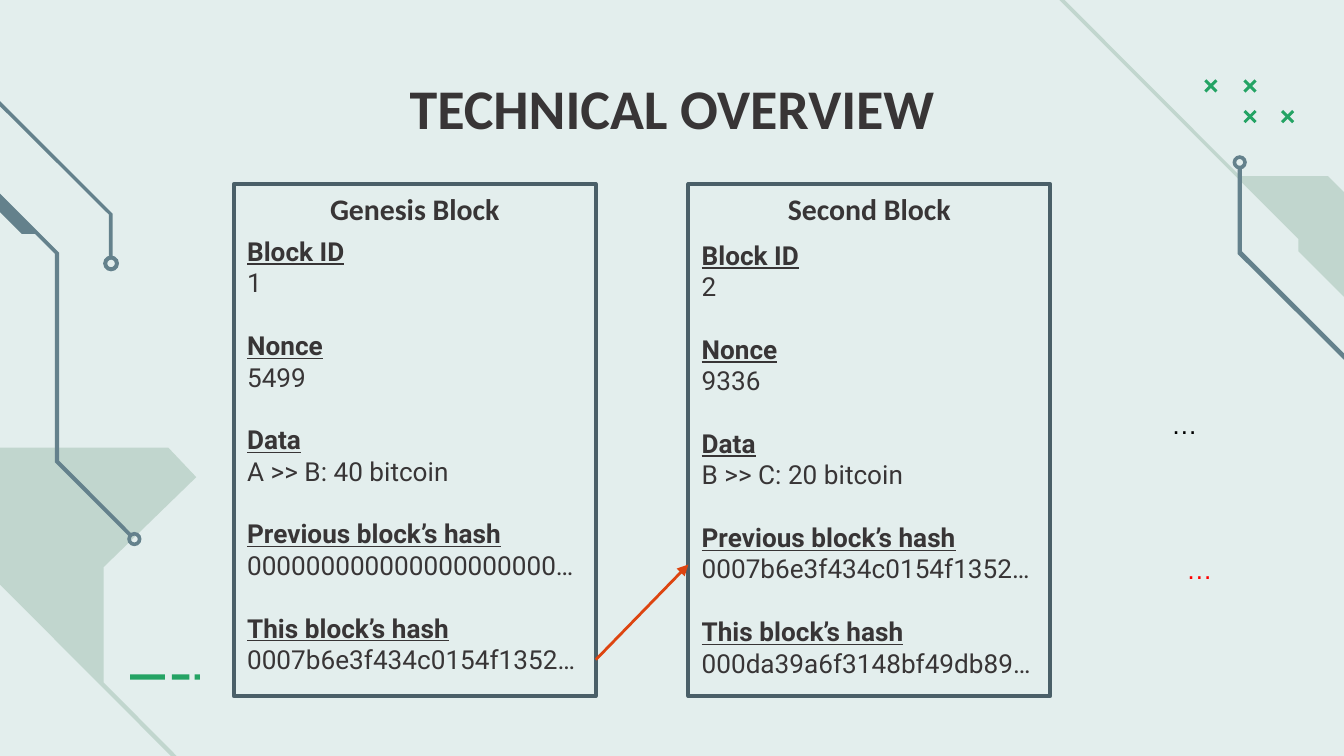
from dataclasses import dataclass
from typing import Any, NamedTuple

from lxml import etree
from pptx import Presentation
from pptx import util as u
from pptx.dml.color import RGBColor
from pptx.enum import shapes, text
from pptx.oxml import ns


@dataclass(frozen=True)
class Theme:
    background: str = "E3EEED"
    pale: str = "C1D6CE"
    circuit: str = "64818C"
    accent: str = "24A364"
    ink: str = "383536"
    frame: str = "4A5F68"
    arrow: str = "DD4410"
    black: str = "000000"
    red: str = "FF0000"
    heading_font: str = "Calibri"
    body_font: str = "Roboto"
    mark_font: str = "Arial"
    title_size: float = 30
    heading_size: float = 16
    body_size: float = 14
    gap: float = 16.8


class Box(NamedTuple):
    left: float
    top: float
    width: float
    height: float


class Outline(NamedTuple):
    color: str
    points: list[tuple[float, float]]


class Ring(NamedTuple):
    x: float
    y: float
    diameter: float


class Ellipsis(NamedTuple):
    box: Box
    color: str


@dataclass(frozen=True)
class Block:
    heading: str
    left: float
    details_top: float
    values: tuple[str, ...]


THEME = Theme()
BLOCK_TOP, BLOCK_WIDTH, BLOCK_HEIGHT = 3.48, 6.84, 9.68
LABELS = ("Block ID", "Nonce", "Data", "Previous block’s hash", "This block’s hash")
BLOCKS = [
    Block("Genesis Block", 4.42, 4.32,
          ("1", "5499", "A >> B: 40 bitcoin", "000000000000000000000…", "0007b6e3f434c0154f1352…")),
    Block("Second Block", 13.01, 4.39,
          ("2", "9336", "B >> C: 20 bitcoin", "0007b6e3f434c0154f1352…", "000da39a6f3148bf49db89…")),
]
OUTLINES = [
    Outline(THEME.pale, [(0, 8.46), (3.18, 8.46), (3.71, 9.02), (1.96, 10.72),
                         (1.96, 12.9), (3.34, 14.29), (3.23, 14.29), (0, 11.05)]),
    Outline(THEME.pale, [(20.12, 0), (23.44, 3.33), (25.1, 3.33), (25.4, 3.63),
                         (25.4, 5.61), (24.54, 4.75), (24.54, 4.52), (20.02, 0)]),
    Outline(THEME.circuit, [(0, 3.66), (1.12, 4.78), (1.12, 8.71), (2.51, 10.11),
                            (2.46, 10.16), (1.04, 8.74), (1.04, 4.8), (0, 3.76)]),
    Outline(THEME.circuit, [(0, 3.68), (0.71, 4.42), (0.41, 4.42), (0, 4.01)]),
    Outline(THEME.circuit, [(0, 1.91), (2.13, 4.04), (2.13, 4.88), (2.06, 4.88),
                            (2.06, 4.06), (0, 2.01)]),
    Outline(THEME.circuit, [(23.39, 3.15), (23.47, 3.15), (23.47, 4.75), (25.4, 6.68),
                            (25.4, 6.8), (23.39, 4.8)]),
]
RINGS = [Ring(2.54, 10.19, 0.27), Ring(2.1, 4.98, 0.3), Ring(23.43, 3.07, 0.27)]
CROSSES = [(22.76, 1.5), (23.5, 1.5), (23.5, 2.08), (24.21, 2.08)]
CROSS_SIZE, CROSS_STROKE = 0.25, 0.04
DASHES = [Box(2.46, 12.75, 0.66, 0.1), Box(3.25, 12.75, 0.33, 0.1), Box(3.68, 12.75, 0.1, 0.1)]
ELLIPSES = [Ellipsis(Box(21.89, 7.59, 1.8, 0.86), THEME.black),
            Ellipsis(Box(22.17, 10.34, 1.24, 0.86), THEME.red)]


def apply(target: Any, values: dict[str, Any]) -> None:
    for name, value in values.items():
        setattr(target, name, value)


def place(shape: Any, box: Box) -> None:
    apply(shape, {name: u.Cm(value) for name, value in box._asdict().items()})


def paint(shape: Any, color: str) -> None:
    shape.shadow.inherit = False
    shape.fill.solid()
    shape.fill.fore_color.rgb = RGBColor.from_string(color)
    shape.line.fill.background()


def draw_outline(slide: Any, outline: Outline) -> None:
    points = [(u.Cm(x), u.Cm(y)) for x, y in outline.points]
    builder = slide.shapes.build_freeform(*points[0], scale=1.0)
    builder.add_line_segments(points[1:], close=True)
    paint(builder.convert_to_shape(), outline.color)


def draw_cross(slide: Any, left: float, top: float) -> None:
    far = CROSS_SIZE - CROSS_STROKE
    stroke = [(far, 0), (CROSS_SIZE, CROSS_STROKE), (CROSS_STROKE, CROSS_SIZE), (0, far)]
    mirrored = [(CROSS_SIZE - x, y) for x, y in stroke]
    for points in (stroke, mirrored):
        draw_outline(slide, Outline(THEME.accent, [(left + x, top + y) for x, y in points]))


def draw_preset(slide: Any, kind: shapes.MSO_SHAPE, box: Box) -> Any:
    return slide.shapes.add_shape(kind, *(u.Cm(value) for value in box))


def draw_ring(slide: Any, ring: Ring) -> None:
    radius = ring.diameter / 2
    box = Box(ring.x - radius, ring.y - radius, ring.diameter, ring.diameter)
    shape = draw_preset(slide, shapes.MSO_SHAPE.DONUT, box)
    shape.adjustments[0] = 0.26
    paint(shape, THEME.circuit)


def draw_frame(slide: Any, box: Box) -> None:
    shape = draw_preset(slide, shapes.MSO_SHAPE.RECTANGLE, box)
    shape.shadow.inherit = False
    shape.fill.background()
    shape.line.color.rgb = RGBColor.from_string(THEME.frame)
    shape.line.width = u.Pt(2)


def prepare_frame(shape: Any, box: Box, inset: float = 0.25) -> Any:
    place(shape, box)
    apply(shape.text_frame, {
        "word_wrap": True, "auto_size": text.MSO_AUTO_SIZE.NONE,
        "vertical_anchor": text.MSO_ANCHOR.TOP,
        "margin_left": u.Cm(0.25), "margin_right": u.Cm(0.25),
        "margin_top": u.Cm(inset), "margin_bottom": u.Cm(inset),
    })
    return shape.text_frame


def write(paragraph: Any, words: str, font: str, size: float, color: str = THEME.ink,
          bold: bool = False, underline: bool = False, centred: bool = False,
          before: float = 0) -> None:
    properties = paragraph._p.get_or_add_pPr()
    apply_indent = {"marL": "0", "indent": "0"}
    for name, value in apply_indent.items():
        properties.set(name, value)
    etree.SubElement(properties, ns.qn("a:buNone"))
    alignment = text.PP_ALIGN.CENTER if centred else text.PP_ALIGN.LEFT
    apply(paragraph, {"alignment": alignment, "space_before": u.Pt(before)})
    run = paragraph.add_run()
    run.text = words
    apply(run.font, {"name": font, "size": u.Pt(size), "bold": bold, "underline": underline})
    run.font.color.rgb = RGBColor.from_string(color)


def draw_block(slide: Any, block: Block, heading: Any, details: Any) -> None:
    draw_frame(slide, Box(block.left, BLOCK_TOP, BLOCK_WIDTH, BLOCK_HEIGHT))
    frame = prepare_frame(heading, Box(block.left, BLOCK_TOP, BLOCK_WIDTH, 0.94), 0.13)
    write(frame.paragraphs[0], block.heading, THEME.heading_font, THEME.heading_size,
          bold=True, centred=True)
    frame = prepare_frame(details, Box(block.left, block.details_top, BLOCK_WIDTH, 8.64), 0.13)
    for index, (label, value) in enumerate(zip(LABELS, block.values)):
        paragraph = frame.add_paragraph() if index else frame.paragraphs[0]
        write(paragraph, label, THEME.body_font, THEME.body_size, bold=True, underline=True,
              before=THEME.gap if index else 0)
        write(frame.add_paragraph(), value, THEME.body_font, THEME.body_size)


def draw_arrow(slide: Any, start: tuple[float, float], end: tuple[float, float]) -> None:
    ends = (u.Cm(value) for value in start + end)
    connector = slide.shapes.add_connector(shapes.MSO_CONNECTOR.STRAIGHT, *ends)
    connector.line.color.rgb = RGBColor.from_string(THEME.arrow)
    connector.line.width = u.Pt(1.5)
    etree.SubElement(connector.line._get_or_add_ln(), ns.qn("a:tailEnd"), type="triangle")
    etree.SubElement(connector._element.spPr, ns.qn("a:effectLst"))


def main() -> None:
    presentation = Presentation()
    apply(presentation, {"slide_width": u.Cm(25.4), "slide_height": u.Cm(14.29)})
    slide = presentation.slides.add_slide(presentation.slide_layouts.get_by_name("Comparison"))
    slide.background.fill.solid()
    slide.background.fill.fore_color.rgb = RGBColor.from_string(THEME.background)
    title, *bodies = slide.placeholders

    for outline in OUTLINES:
        draw_outline(slide, outline)
    for ring in RINGS:
        draw_ring(slide, ring)
    for cross in CROSSES:
        draw_cross(slide, *cross)
    for dash in DASHES:
        paint(draw_preset(slide, shapes.MSO_SHAPE.RECTANGLE, dash), THEME.accent)

    frame = prepare_frame(title, Box(2.0, 1.14, 21.41, 1.65))
    write(frame.paragraphs[0], "TECHNICAL OVERVIEW", THEME.heading_font, THEME.title_size,
          bold=True, centred=True)
    for block, heading, details in zip(BLOCKS, bodies[::2], bodies[1::2]):
        draw_block(slide, block, heading, details)
    draw_arrow(slide, (11.26, 12.47), (13.01, 10.67))
    for ellipsis in ELLIPSES:
        shape = slide.shapes.add_textbox(0, 0, 0, 0)
        frame = prepare_frame(shape, ellipsis.box, 0.13)
        write(frame.paragraphs[0], "…", THEME.mark_font, THEME.body_size, ellipsis.color)
    presentation.save("out.pptx")


if __name__ == "__main__":
    main()
